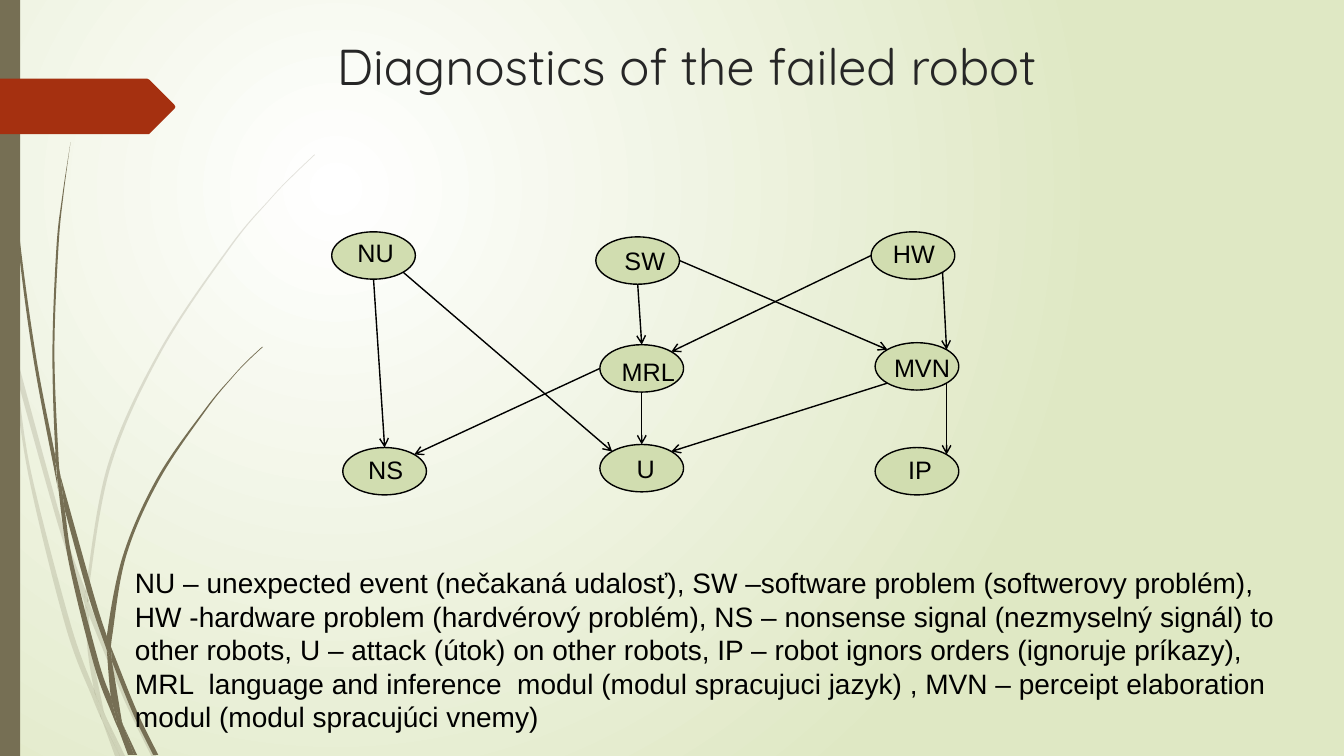
from math import cos, pi, sin

from lxml.etree import SubElement
from pptx import Presentation
from pptx.dml.color import RGBColor
from pptx.enum.shapes import MSO_CONNECTOR, MSO_SHAPE
from pptx.enum.text import MSO_ANCHOR, MSO_AUTO_SIZE, PP_ALIGN
from pptx.oxml.ns import qn
from pptx.util import Inches, Pt

WHITE = RGBColor(0xFF, 0xFF, 0xFF)
PALE_GREEN = RGBColor(0xDF, 0xE8, 0xC4)
NODE_GREEN = RGBColor(0xD1, 0xDD, 0xB0)
OLIVE = RGBColor(0x76, 0x6F, 0x54)
RUST = RGBColor(0xA5, 0x30, 0x10)
CHARCOAL = RGBColor(0x26, 0x26, 0x26)
BLACK = RGBColor(0, 0, 0)

# Grass blades: each piece is a pair of edges, there and back
FAINT_BLADES = [
    ([(0.11, 3.5), (0.09, 3.22), (0, 2.82)], [(0, 2.99), (0.1, 3.44)]),
    ([(0.84, 5.99), (0.58, 5.22), (0.17, 3.76)], [(0.14, 3.45), (0.62, 5.2), (0.85, 5.86)]),
    ([(0.88, 5.96), (0.92, 6.07), (1.27, 6.92), (1.55, 7.5)],
     [(1.5, 7.5), (1.23, 6.94), (0.88, 6.1)]),
    ([(1.19, 7.5), (1.05, 7.11)], [(1.24, 7.5)]),
    ([(0.11, 3.5), (0.17, 3.76), (0.31, 4.69), (0.7, 6.19), (0.93, 6.83)],
     [(0.99, 7.07), (1.01, 7.14), (0.92, 6.93), (0.65, 6.21), (0.28, 4.7), (0.11, 3.5)]),
    ([(0.84, 5.99), (0.87, 6.46), (0.93, 6.83), (0.96, 6.92), (1.05, 7.11)],
     [(1.03, 7.06), (0.91, 6.46), (0.88, 6.1), (0.84, 5.99)]),
    ([(0.85, 5.86), (0.85, 5.84), (1.07, 4.61), (1.58, 3.48), (2.28, 2.44), (2.68, 1.97),
      (2.89, 1.75), (3.12, 1.53)],
     [(3.12, 1.54), (2.9, 1.75), (2.68, 1.98), (2.29, 2.45), (1.6, 3.49), (1.1, 4.62),
      (0.88, 5.84), (0.88, 5.96)]),
    ([(1.01, 7.14), (1.14, 7.5)], [(1.19, 7.5)]),
    ([(0.88, 6.08), (0.88, 6.1), (0.88, 5.96)], [(0.85, 5.86), (0.84, 5.99)]),
    ([(0.93, 6.83), (0.99, 7.07), (1.01, 7.14), (1.19, 7.5)], [(1.05, 7.11), (0.96, 6.92)]),
]
DARK_BLADES = [
    ([(0.03, 0), (0.04, 0.48), (0.07, 1.1), (0.17, 2.33), (0.33, 3.55), (0.56, 4.77),
      (0.57, 4.81)],
     [(0.55, 4.57), (0.55, 4.53), (0.36, 3.55), (0.19, 2.32), (0.08, 1.09), (0.05, 0.48),
      (0.04, 0)]),
    ([(1.06, 6.45), (0.88, 5.92), (0.64, 5.05)], [(0.6, 4.72), (0.93, 5.9), (1.06, 6.31)]),
    ([(1.1, 6.41), (1.13, 6.49), (1.36, 7.06), (1.57, 7.49)],
     [(1.52, 7.49), (1.32, 7.08), (1.11, 6.56)]),
    ([(0.57, 4.77), (0.64, 5.05), (0.72, 5.56), (0.98, 6.57), (1.1, 6.91)],
     [(1.16, 7.17), (1.17, 7.22), (1.11, 7.08), (0.93, 6.59), (0.68, 5.57), (0.57, 4.77)]),
    ([(0.6, 4.72), (0.58, 4.53), (0.54, 3.49), (0.58, 2.45), (0.63, 1.93), (0.7, 1.41)],
     [(0.7, 1.41), (0.62, 1.93), (0.56, 2.45), (0.52, 3.49), (0.55, 4.49), (0.6, 4.72)]),
    ([(1.33, 7.49), (1.22, 7.19)], [(1.36, 7.49)]),
    ([(0.57, 4.77), (0.64, 5.05)], [(0.6, 4.72), (0.55, 4.49), (0.55, 4.53)]),
    ([(1.1, 6.41), (1.06, 6.31), (1.22, 5.51), (1.56, 4.74), (2.04, 4.05), (2.31, 3.73),
      (2.45, 3.58), (2.6, 3.44)],
     [(2.61, 3.44), (2.45, 3.59), (2.31, 3.74), (2.05, 4.06), (1.58, 4.76), (1.25, 5.52),
      (1.11, 6.33)]),
    ([(1.17, 7.22), (1.27, 7.49)], [(1.31, 7.49)]),
    ([(1.06, 6.45), (1.1, 6.91), (1.16, 7.06), (1.22, 7.19)],
     [(1.21, 7.16), (1.11, 6.56), (1.09, 6.51)]),
    ([(1.06, 6.45), (1.09, 6.51), (1.11, 6.56)], [(1.1, 6.41), (1.06, 6.31)]),
    ([(1.1, 6.91), (1.16, 7.17), (1.17, 7.22), (1.3, 7.49)],
     [(1.33, 7.49), (1.22, 7.19), (1.16, 7.06)]),
]

# Nodes: ellipse left and top, label left, top and width, within the diagram
NODE_W, NODE_H, LABEL_H = 0.83, 0.47, 0.4
NODES = {
    "NU": (0, 0, 0.08, 0.01, 0.71),
    "SW": (2.62, 0.05, 2.75, 0.08, 0.71),
    "HW": (5.35, 0, 5.42, 0.02, 0.71),
    "MRL": (2.66, 1.12, 2.71, 1.19, 0.86),
    "MVN": (5.39, 1.1, 5.39, 1.15, 0.93),
    "NS": (0.11, 2.14, 0.18, 2.16, 0.71),
    "U": (2.66, 2.11, 2.76, 2.15, 0.71),
    "IP": (5.39, 2.14, 5.48, 2.16, 0.71),
}
# Directions around an ellipse in eighths of a turn, clockwise from the right
RIGHT, LOW_RIGHT, BOTTOM, LOW_LEFT, LEFT, UP_LEFT, TOP, UP_RIGHT = range(8)
CAUSES = [
    ("NU", BOTTOM, "NS", TOP), ("NU", LOW_RIGHT, "U", UP_LEFT),
    ("SW", BOTTOM, "MRL", TOP), ("MRL", LEFT, "NS", UP_RIGHT),
    ("MRL", BOTTOM, "U", TOP), ("SW", RIGHT, "MVN", UP_LEFT),
    ("HW", LEFT, "MRL", UP_RIGHT), ("HW", LOW_RIGHT, "MVN", UP_RIGHT),
    ("MVN", LOW_RIGHT, "IP", UP_RIGHT), ("MVN", LOW_LEFT, "U", UP_RIGHT),
]
LEGEND = (
    "NU – unexpected event (nečakaná udalosť), SW –software problem (softwerovy problém),  "
    "HW -hardware problem (hardvérový problém), NS – nonsense signal (nezmyselný signál) to "
    "other robots, U – attack (útok) on other robots, IP – robot ignors orders (ignoruje "
    "príkazy), MRL  language and inference  modul (modul spracujuci jazyk) , MVN – perceipt "
    "elaboration modul (modul spracujúci vnemy)"
)


def smooth(knots):
    """Start point, then two control points and an end point per curve."""
    padded = [knots[0], *knots, knots[-1]]
    points = [knots[0]]
    for a, b, c, d in zip(padded, padded[1:], padded[2:], padded[3:]):
        points.append(tuple(q + (r - p) / 6 for p, q, r in zip(a, b, c)))
        points.append(tuple(r - (s - q) / 6 for q, r, s in zip(b, c, d)))
        points.append(c)
    return points


def paint(shape, color):
    shape.shadow.inherit = False
    shape.fill.solid()
    shape.fill.fore_color.rgb = color
    shape.line.fill.background()


def add_outline(shapes, left, top, points, color):
    emu = [(Inches(left + x), Inches(top + y)) for x, y in points]
    builder = shapes.build_freeform(*emu[0])
    builder.add_line_segments(emu[1:])
    outline = builder.convert_to_shape()
    paint(outline, color)
    return outline


def add_blade(shapes, left, top, there, back):
    tip, turn = there[-1], back[0]
    blade = add_outline(shapes, left, top, smooth(there) + [tip, turn] + smooth(back), OLIVE)
    # Every three points make one curve
    lines = list(blade._element.spPr.iter(qn("a:lnTo")))
    for first in range(0, len(lines), 3):
        curve = lines[first]
        curve.tag = qn("a:cubicBezTo")
        for line in lines[first + 1:first + 3]:
            curve.append(line[0])
            line.getparent().remove(line)
    return blade


def add_text(shapes, left, top, width, height, text, size, align=None):
    box = shapes.add_textbox(Inches(left), Inches(top), Inches(width), Inches(height))
    frame = box.text_frame
    frame.word_wrap = True
    frame.auto_size = MSO_AUTO_SIZE.SHAPE_TO_FIT_TEXT
    frame.text = text
    frame.paragraphs[0].alignment = align
    font = frame.paragraphs[0].runs[0].font
    font.name, font.size, font.color.rgb = "Arial", Pt(size), BLACK


def add_background(slide):
    fill = slide.background.fill
    fill.gradient()
    for stop, color, position in zip(fill.gradient_stops, (WHITE, PALE_GREEN), (0, 1)):
        stop.color.rgb, stop.position = color, position
    gradient = next(slide.background._cSld.iter(qn("a:gradFill")))
    gradient.remove(gradient.find(qn("a:lin")))
    circle = SubElement(gradient, qn("a:path"), path="circle")
    SubElement(circle, qn("a:fillToRect"), l="50000", t="50000", r="100000", b="100000")


def add_decoration(slide, left, top, height):
    # Blades of grass
    for blades, opacity in ((FAINT_BLADES, 20), (DARK_BLADES, 100)):
        tuft = slide.shapes.add_group_shape().shapes
        for there, back in blades:
            blade = add_blade(tuft, left, top, there, back)
            if opacity < 100:
                color = next(blade._element.spPr.iter(qn("a:srgbClr")))
                SubElement(color, qn("a:alpha"), val=str(opacity * 1000))
    # Side bar and banner
    bar = slide.shapes.add_shape(
        MSO_SHAPE.RECTANGLE, Inches(left), Inches(top), Inches(0.2), Inches(height))
    paint(bar, OLIVE)
    banner = [(0, 0), (1.46, 0), (1.48, 0.01), (1.73, 0.26), (1.74, 0.28),
              (1.73, 0.3), (1.48, 0.55), (0, 0.55)]
    add_outline(slide.shapes, left, top + 0.78, banner, RUST)


def add_title(slide, left, top, width, height):
    title = slide.shapes.title
    title.left, title.top = Inches(left), Inches(top)
    title.width, title.height = Inches(width), Inches(height)
    frame = title.text_frame
    frame.text = "Diagnostics of the failed robot"
    frame.auto_size = MSO_AUTO_SIZE.NONE
    frame.vertical_anchor = MSO_ANCHOR.TOP
    frame.paragraphs[0].alignment = PP_ALIGN.LEFT
    font = frame.paragraphs[0].runs[0].font
    font.name, font.size, font.color.rgb = "Quicksand", Pt(36), CHARCOAL


def add_diagram(slide, left, top):
    shapes = slide.shapes.add_group_shape().shapes

    def rim(node, eighth):
        x, y = NODES[node][:2]
        angle = eighth * pi / 4
        return (Inches(left + x + NODE_W / 2 * (1 + cos(angle))),
                Inches(top + y + NODE_H / 2 * (1 + sin(angle))))

    for x, y, *_ in NODES.values():
        node = shapes.add_shape(MSO_SHAPE.OVAL, Inches(left + x), Inches(top + y),
                                Inches(NODE_W), Inches(NODE_H))
        paint(node, NODE_GREEN)
        node.line.color.rgb, node.line.width = BLACK, Pt(1)
    for cause, start, effect, end in CAUSES:
        arrow = shapes.add_connector(
            MSO_CONNECTOR.STRAIGHT, *rim(cause, start), *rim(effect, end))
        arrow.line.color.rgb, arrow.line.width = BLACK, Pt(1)
        SubElement(arrow.line._get_or_add_ln(), qn("a:tailEnd"), type="arrow")
        SubElement(arrow._element.spPr, qn("a:effectLst"))
    for name, (_, _, x, y, width) in NODES.items():
        add_text(shapes, left + x, top + y, width, LABEL_H, name, 18, PP_ALIGN.CENTER)


def main():
    deck = Presentation()
    deck.slide_width, deck.slide_height = Inches(13.33), Inches(7.5)
    slide = deck.slides.add_slide(deck.slide_layouts[5])
    add_background(slide)
    add_decoration(slide, 0, 0, 7.5)
    add_title(slide, 3.24, 0.3, 8.2, 1.25)
    add_text(slide.shapes, 1.24, 5.56, 11.52, 1.78, LEGEND, 20)
    add_diagram(slide, 3.29, 2.3)
    deck.save("out.pptx")


if __name__ == "__main__":
    main()
